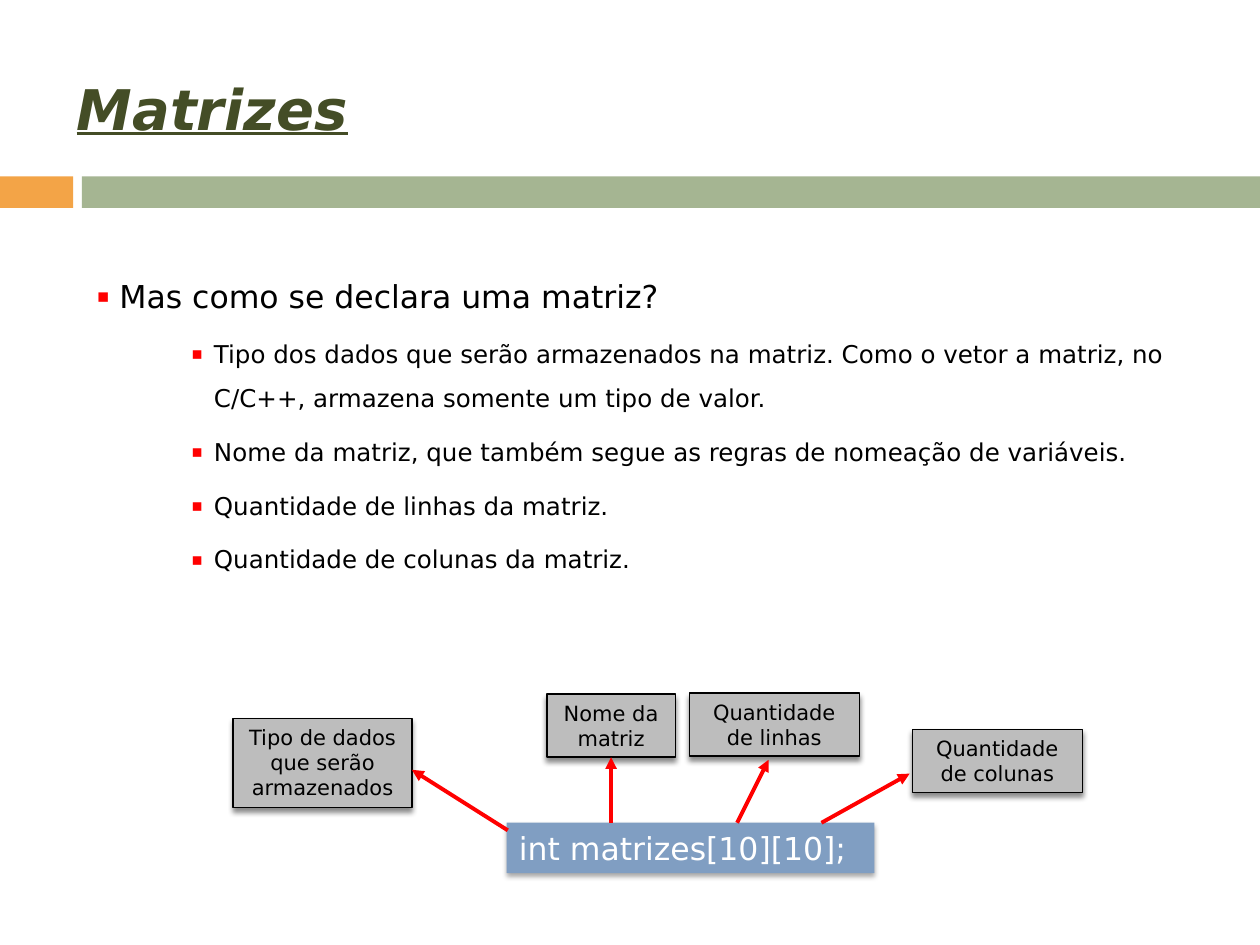
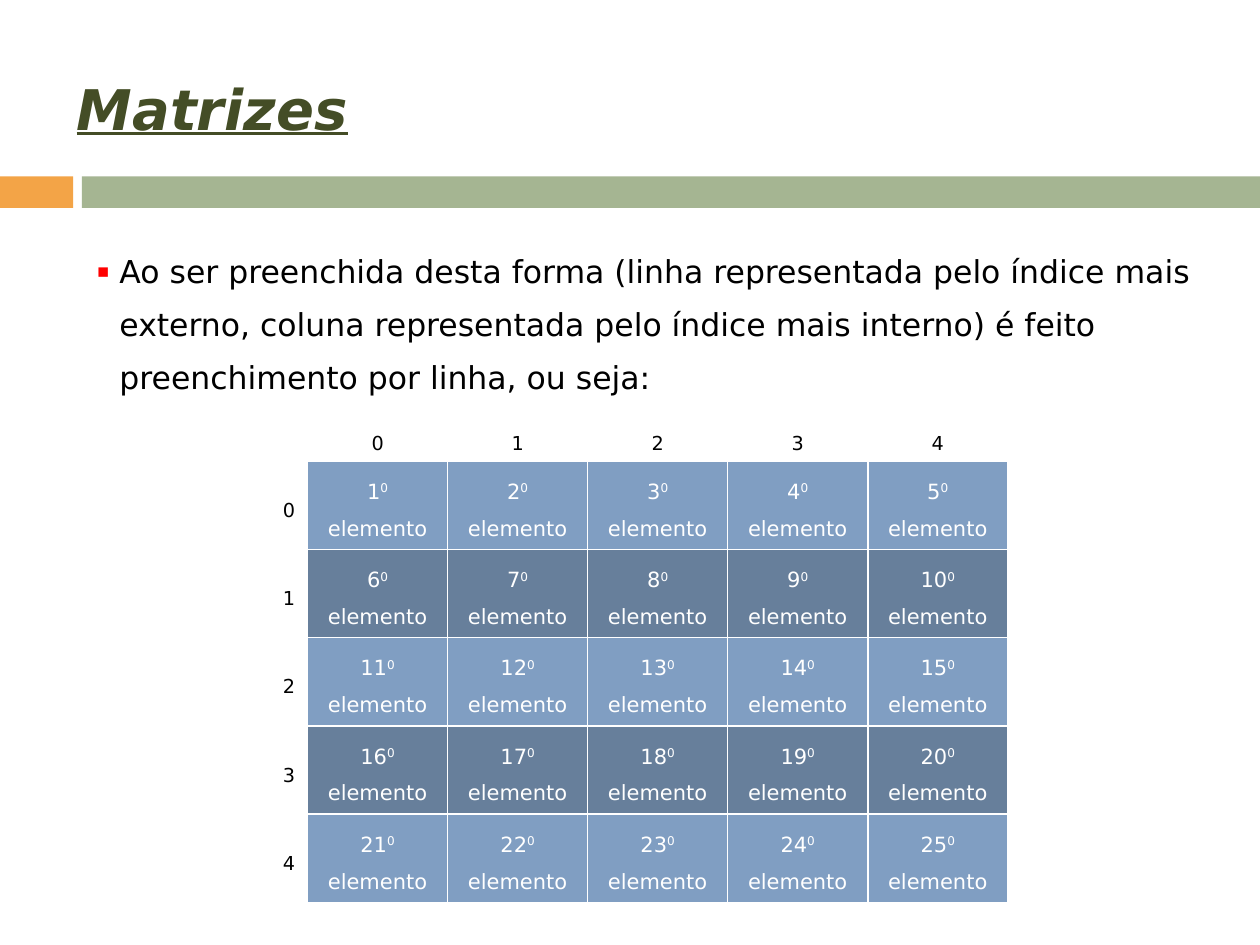
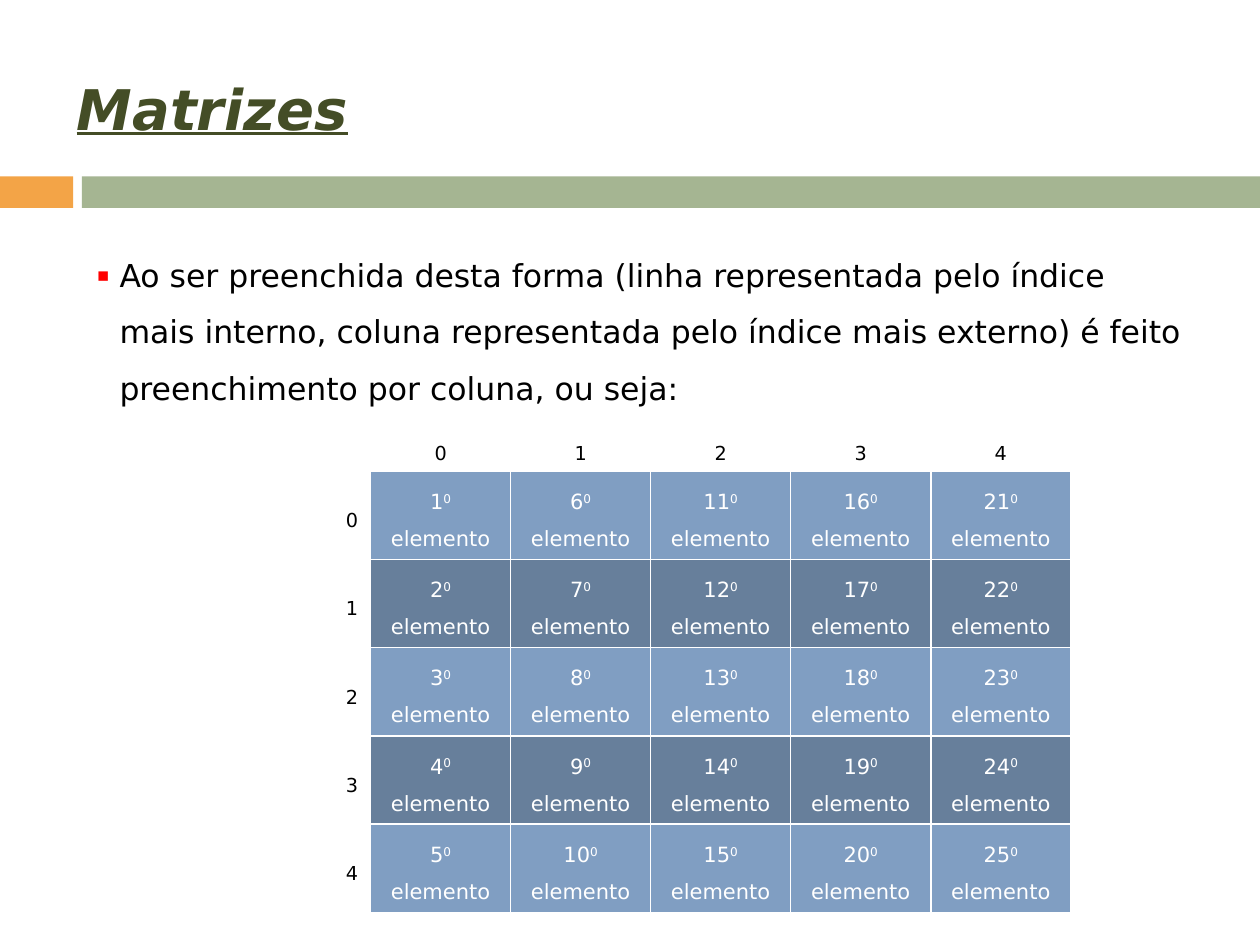
from lxml import etree
from pptx import Presentation
from pptx import util as u
from pptx.dml.color import RGBColor
from pptx.enum import shapes, text
from pptx.oxml import parse_xml
from pptx.oxml.ns import nsdecls, qn

Inches = u.Inches
FONT = "DejaVu Sans"
COLORS = {
    "orange": "F3A447", "green": "A5B592", "title": "444D26",
    "blue": "809EC2", "dark_blue": "677F9B", "gray": "BDBDBD",
    "red": "FF0000", "black": "000000", "white": "FFFFFF",
}
RGB = {name: RGBColor.from_string(value) for name, value in COLORS.items()}
ALIGN = text.PP_ALIGN
ANCHOR = text.MSO_ANCHOR


def write(frame, content, size=18, color="black", align=ALIGN.LEFT, anchor=ANCHOR.TOP,
          spacing=None, before=0, strong=False, superscript=None,
          level=0, bullet_size=None, indent=0):
    """Add a paragraph; content is a string or a list of strings, one per run."""
    frame.word_wrap = True
    frame.vertical_anchor = anchor
    para = frame.paragraphs[0]
    if para.runs:
        para = frame.add_paragraph()
    para.alignment = align
    para.level = level
    para.space_before = u.Pt(before)
    if spacing:
        para.line_spacing = spacing
    for number, part in enumerate([content] if isinstance(content, str) else content):
        span = para.add_run()
        span.text = part
        font = span.font
        font.name, font.size, font.color.rgb = FONT, u.Pt(size), RGB[color]
        font.bold = font.italic = font.underline = strong
        if number == superscript:
            span._r.get_or_add_rPr().set("baseline", "30000")
    if bullet_size:
        props = para._p.get_or_add_pPr()
        props.set("marL", str(Inches(indent)))
        props.set("indent", str(Inches(-0.18)))
        bullet_color = etree.SubElement(props, qn("a:buClr"))
        etree.SubElement(bullet_color, qn("a:srgbClr"), val=COLORS["red"])
        etree.SubElement(props, qn("a:buSzPct"), val=str(bullet_size * 1000))
        etree.SubElement(props, qn("a:buFont"), typeface=FONT)
        etree.SubElement(props, qn("a:buChar"), char="▪")


def add_block(page, place, fill, outline=None, shadow=None):
    """Add a filled rectangle; shadow is (opacity %, distance in points)."""
    block = page.shapes.add_shape(shapes.MSO_SHAPE.RECTANGLE, *map(Inches, place))
    block.shadow.inherit = False
    block.fill.solid()
    block.fill.fore_color.rgb = RGB[fill]
    if outline:
        block.line.color.rgb = RGB[outline]
        block.line.width = u.Pt(0.79)
    else:
        block.line.fill.background()
    if shadow:
        opacity, distance = shadow
        block._element.spPr.find(qn("a:effectLst")).append(parse_xml(
            f'<a:outerShdw {nsdecls("a")} blurRad="{u.Pt(3)}" dist="{u.Pt(distance)}" '
            f'dir="5400000" rotWithShape="0"><a:srgbClr val="{COLORS["black"]}">'
            f'<a:alpha val="{opacity * 1000}"/></a:srgbClr></a:outerShdw>'))
    return block


deck = Presentation()
deck.slide_width, deck.slide_height = Inches(10), Inches(7.5)

# Shared bands, title and body area
body_places = [(0.67, 2, 8.67, 2.75), (0.67, 1.83, 9, 1.42), (0.67, 1.83, 8.85, 1.5)]
pages, bodies = [], []
for body_place in body_places:
    page = deck.slides.add_slide(deck.slide_layouts[6])
    add_block(page, (0, 1.4, 0.58, 0.25), "orange")
    add_block(page, (0.65, 1.4, 9.35, 0.25), "green")
    title = page.shapes.add_textbox(*map(Inches, (0.51, 0.49, 9, 0.74)))
    write(title.text_frame, "Matrizes", size=32, color="title", anchor=ANCHOR.MIDDLE,
          strong=True)
    pages.append(page)
    bodies.append(page.shapes.add_textbox(*map(Inches, body_place)).text_frame)

main_bullet = {"before": 7, "bullet_size": 60, "indent": 0.18}
sub_bullet = {"size": 14, "spacing": 1.5, "before": 5.5, "bullet_size": 70,
              "indent": 0.93, "level": 1}

# Slide 1: declaring a matrix
write(bodies[0], "Mas como se declara uma matriz?", spacing=1.5, **main_bullet)
for item in [
    "Tipo dos dados que serão armazenados na matriz. Como o vetor a matriz, "
    "no C/C++, armazena somente um tipo de valor.",
    "Nome da matriz, que também segue as regras de nomeação de variáveis.",
    "Quantidade de linhas da matriz.",
    "Quantidade de colunas da matriz.",
]:
    write(bodies[0], item, **sub_bullet)

declaration = add_block(pages[0], (4.02, 6.53, 2.92, 0.4), "blue", shadow=(35, 2))
write(declaration.text_frame, "int matrizes[10][10];", color="white")

# Labels: text, place, arrow start and tip, side joined by the arrow
labels = [
    ("Tipo de dados que serão armazenados", (1.85, 5.7, 1.42, 0.71),
     (4.03, 6.59, 3.27, 6.11), None),
    ("Nome da matriz", (4.34, 5.51, 1.02, 0.5), (4.85, 6.53, 4.85, 6.03), 2),
    ("Quantidade de linhas", (5.47, 5.5, 1.35, 0.5), (5.85, 6.53, 6.1, 6.03), None),
    ("Quantidade de colunas", (7.24, 5.79, 1.35, 0.5), (6.52, 6.53, 7.22, 6.14), None),
]
for caption, place, ends, side in labels:
    label = add_block(pages[0], place, "gray", outline="black", shadow=(45, 2.4))
    write(label.text_frame, caption, size=12, align=ALIGN.CENTER)
    arrow = pages[0].shapes.add_connector(shapes.MSO_CONNECTOR.STRAIGHT, *map(Inches, ends))
    if side is not None:
        arrow.end_connect(label, side)
    arrow.line.color.rgb = RGB["red"]
    arrow.line.width = u.Pt(2.25)
    etree.SubElement(arrow.line._get_or_add_ln(), qn("a:tailEnd"), type="triangle")
    etree.SubElement(arrow._element.spPr, qn("a:effectLst"))

# Slides 2 and 3: filling order by row and by column
COUNT = 5
fillings = [
    ("Ao ser preenchida desta forma (linha representada pelo índice mais externo, "
     "coluna representada pelo índice mais interno) é feito preenchimento por linha, "
     "ou seja:", 1.4, (1.33, 3.25), COUNT, 1),
    ("Ao ser preenchida desta forma (linha representada pelo índice mais interno, "
     "coluna representada pelo índice mais externo) é feito preenchimento por coluna, "
     "ou seja:", 1.5, (1.83, 3.33), 1, COUNT),
]
for page, body, filling in zip(pages[1:], bodies[1:], fillings):
    sentence, spacing, (left, top), row_step, column_step = filling
    write(body, sentence, spacing=spacing, **main_bullet)

    grid = page.shapes.add_table(COUNT + 1, COUNT + 1, Inches(left), Inches(top),
                                 Inches(6.67), Inches(3.81)).table
    grid.first_row = grid.horz_banding = False
    for column in grid.columns:
        column.width = Inches(6.67 / (COUNT + 1))
    for row, line in enumerate(grid.rows):
        line.height = Inches(0.68 if row else 0.41)
        for column, cell in enumerate(line.cells):
            for edge in ("lnL", "lnR", "lnT", "lnB"):
                cell._tc.get_or_add_tcPr().append(parse_xml(
                    f'<a:{edge} {nsdecls("a")} w="{u.Pt(1)}"><a:solidFill>'
                    f'<a:srgbClr val="{COLORS["white"]}"/></a:solidFill></a:{edge}>'))
            fill = "white"
            if row and column:
                fill = "blue" if row % 2 else "dark_blue"
                order = 1 + (row - 1) * row_step + (column - 1) * column_step
                write(cell.text_frame, [str(order), "0 ", "elemento"], size=12,
                      color="white", align=ALIGN.CENTER, spacing=1.5, superscript=1)
            elif row:
                write(cell.text_frame, str(row - 1), size=11, align=ALIGN.RIGHT, spacing=1.5)
                cell.vertical_anchor = ANCHOR.MIDDLE
            elif column:
                write(cell.text_frame, str(column - 1), size=11, align=ALIGN.CENTER,
                      spacing=1.5)
                cell.vertical_anchor = ANCHOR.BOTTOM
            cell.fill.solid()
            cell.fill.fore_color.rgb = RGB[fill]

deck.save("out.pptx")
